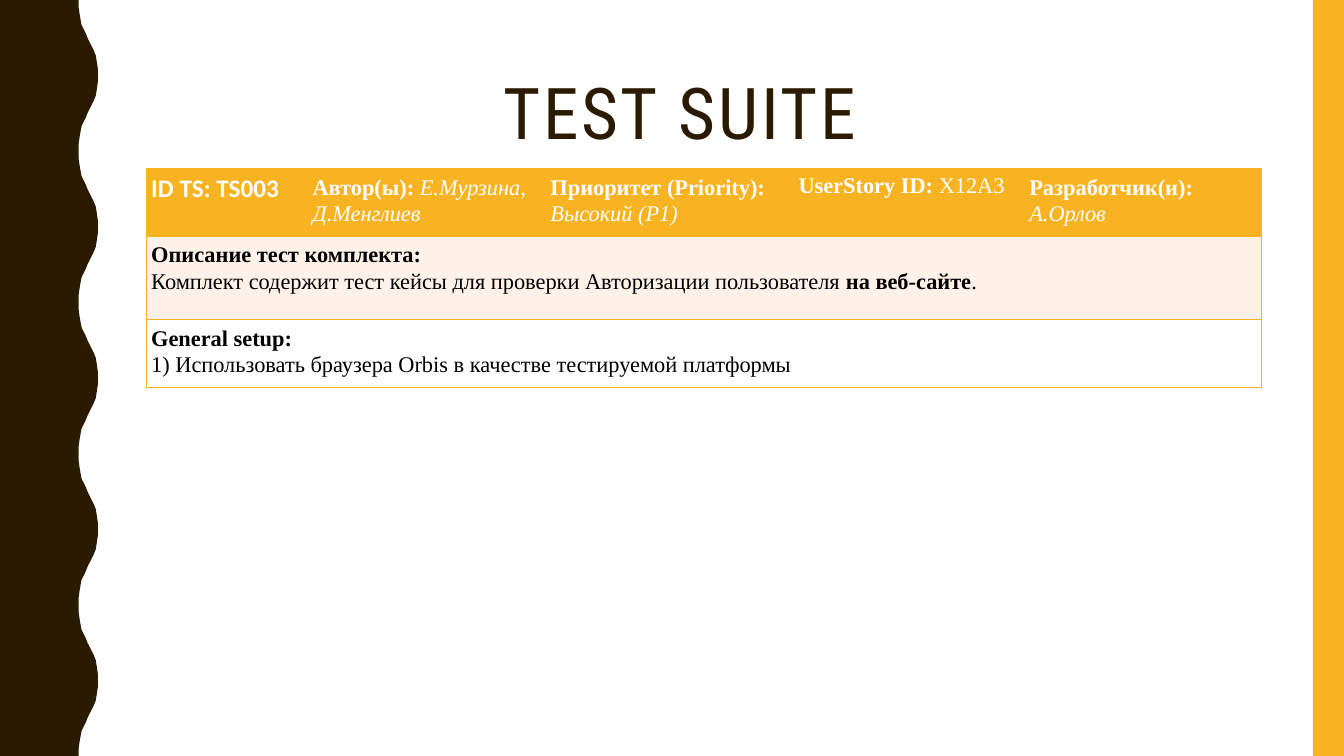
from lxml import etree
from pptx import Presentation
from pptx.dml.color import RGBColor
from pptx.enum.shapes import MSO_SHAPE
from pptx.enum.text import MSO_ANCHOR, PP_ALIGN
from pptx.oxml.ns import qn
from pptx.util import Inches, Pt

RECTANGLE = MSO_SHAPE.RECTANGLE
MIDDLE = MSO_ANCHOR.MIDDLE
LEFT, CENTER, JUSTIFY = PP_ALIGN.LEFT, PP_ALIGN.CENTER, PP_ALIGN.JUSTIFY

BROWN = RGBColor(0x2A, 0x1A, 0x00)
AMBER = RGBColor(0xF8, 0xB3, 0x23)
CREAM = RGBColor(0xFE, 0xF2, 0xE8)
WHITE = RGBColor(0xFF, 0xFF, 0xFF)
BLACK = RGBColor(0x00, 0x00, 0x00)

TITLE_FONT, ID_FONT, BODY_FONT = "Roboto Condensed", "Calibri", "Times New Roman"
PLAIN, BOLD, ITALIC = "plain", "bold", "italic"

SLIDE_WIDTH, SLIDE_HEIGHT = 13.33, 7.5
WAVE_PERIOD, WAVE_COUNT = 1.5, 5
HALF_WAVE = [
    (0.78, 0), (0.78, 0.07), (0.79, 0.14), (0.8, 0.2), (0.81, 0.25),
    (0.83, 0.29), (0.85, 0.33), (0.87, 0.38), (0.89, 0.42), (0.91, 0.46),
    (0.93, 0.5), (0.95, 0.55), (0.96, 0.61), (0.97, 0.68), (0.97, 0.75),
]

COLUMN_WIDTHS = [1.6, 2.36, 2.46, 2.29, 2.35]
ROW_HEIGHTS = [0.62, 0.83, 0.62]
HEADER_CELLS = [
    ([[("ID TS: TS003", BOLD)]], ID_FONT, 18, 1.0),
    ([[("Автор(ы): ", BOLD), ("Е.Мурзина, Д.Менглиев", ITALIC)]], BODY_FONT, 16, 1.07),
    ([[("Приоритет (Priority):", BOLD)], [("Высокий (P1)", ITALIC)]], BODY_FONT, 16, 1.07),
    ([[("UserStory ID: ", BOLD), ("Х12A3", PLAIN)]], BODY_FONT, 16, 1.0),
    ([[("Разработчик(и): ", BOLD), ("А.Орлов", ITALIC)]], BODY_FONT, 16, 1.07),
]
DETAIL_ROWS = [
    ([[("Описание тест комплекта:", BOLD)],
      [("Комплект содержит тест кейсы для проверки Авторизации пользователя ", PLAIN),
       ("на веб-сайте", BOLD), (".", PLAIN)]], CREAM, LEFT),
    ([[("General setup:", BOLD)],
      [("1) Использовать браузера Orbis в качестве тестируемой платформы", PLAIN)]],
     WHITE, JUSTIFY),
]


def paint(shape, color):
    """Give a shape a flat fill without outline or shadow."""
    shape.shadow.inherit = False
    shape.fill.solid()
    shape.fill.fore_color.rgb = color
    shape.line.fill.background()


def add_wavy_edge(slide):
    """Draw the brown band whose right side is a repeated wave."""
    mirrored = [(x, WAVE_PERIOD - y) for x, y in reversed(HALF_WAVE[:-1])]
    wave = HALF_WAVE + mirrored
    points = [(x, y + index * WAVE_PERIOD) for index in range(WAVE_COUNT) for x, y in wave]
    points.append((0, SLIDE_HEIGHT))
    builder = slide.shapes.build_freeform(0, 0)
    builder.add_line_segments([(Inches(x), Inches(y)) for x, y in points], close=True)
    paint(builder.convert_to_shape(), BROWN)


def add_side_bar(slide):
    """Draw the amber bar on the right side."""
    width = 0.31
    bar = slide.shapes.add_shape(RECTANGLE, Inches(SLIDE_WIDTH - width), 0,
                                 Inches(width), Inches(SLIDE_HEIGHT))
    paint(bar, AMBER)


def add_run(paragraph, text, font_name, size, color, style=PLAIN):
    """Add one formatted run and return it."""
    run = paragraph.add_run()
    run.text = text
    font = run.font
    font.name, font.size = font_name, Pt(size)
    font.bold, font.italic = style == BOLD, style == ITALIC
    font.color.rgb = color
    return run


def add_title(slide, text):
    """Add the centred, letter-spaced title."""
    box = slide.shapes.add_textbox(Inches(1.18), Inches(0.63), Inches(11.13), Inches(1.04))
    frame = box.text_frame
    frame.word_wrap = True
    frame.vertical_anchor = MIDDLE
    paragraph = frame.paragraphs[0]
    paragraph.alignment = CENTER
    paragraph.line_spacing = 0.9
    run = add_run(paragraph, text, TITLE_FONT, 51, BROWN)
    run.font._element.set("spc", "200")


def style_cell(cell, color):
    """Set the margins, amber borders and fill of a cell."""
    cell.margin_left = cell.margin_right = Inches(0.05)
    cell.margin_top = cell.margin_bottom = Inches(0.05)
    properties = cell._tc.get_or_add_tcPr()
    for side in ("a:lnL", "a:lnR", "a:lnT", "a:lnB"):
        line = etree.SubElement(properties, qn(side), w=str(Pt(1)))
        fill = etree.SubElement(line, qn("a:solidFill"))
        etree.SubElement(fill, qn("a:srgbClr"), val=str(AMBER))
    cell.fill.solid()
    cell.fill.fore_color.rgb = color


def write_cell(cell, paragraphs, font_name, size, color, spacing, alignment=LEFT):
    """Fill a cell with paragraphs of styled runs."""
    frame = cell.text_frame
    for index, runs in enumerate(paragraphs):
        paragraph = frame.add_paragraph() if index else frame.paragraphs[0]
        paragraph.alignment = alignment
        paragraph.line_spacing = spacing
        for text, style in runs:
            add_run(paragraph, text, font_name, size, color, style)


def add_suite_table(slide):
    """Add the table with a header row and full-width detail rows."""
    frame = slide.shapes.add_table(len(ROW_HEIGHTS), len(COLUMN_WIDTHS), Inches(1.45),
                                   Inches(1.67), Inches(sum(COLUMN_WIDTHS)),
                                   Inches(sum(ROW_HEIGHTS)))
    table = frame.table
    table.first_row = table.horz_banding = False
    for column, width in zip(table.columns, COLUMN_WIDTHS):
        column.width = Inches(width)
    for row, height in zip(table.rows, ROW_HEIGHTS):
        row.height = Inches(height)
    row_fills = [AMBER] + [color for _, color, _ in DETAIL_ROWS]
    for row, color in zip(table.rows, row_fills):
        for cell in row.cells:
            style_cell(cell, color)
    for column, (paragraphs, font_name, size, spacing) in enumerate(HEADER_CELLS):
        write_cell(table.cell(0, column), paragraphs, font_name, size, WHITE, spacing)
    for row, (paragraphs, _, alignment) in enumerate(DETAIL_ROWS, start=1):
        first = table.cell(row, 0)
        first.merge(table.cell(row, len(COLUMN_WIDTHS) - 1))
        write_cell(first, paragraphs, BODY_FONT, 16, BLACK, 1.07, alignment)


def main():
    """Build and save the slide."""
    presentation = Presentation()
    presentation.slide_width = Inches(SLIDE_WIDTH)
    presentation.slide_height = Inches(SLIDE_HEIGHT)
    slide = presentation.slides.add_slide(presentation.slide_layouts[6])
    add_wavy_edge(slide)
    add_side_bar(slide)
    add_title(slide, "TEST SUITE")
    add_suite_table(slide)
    presentation.save("out.pptx")


if __name__ == "__main__":
    main()
